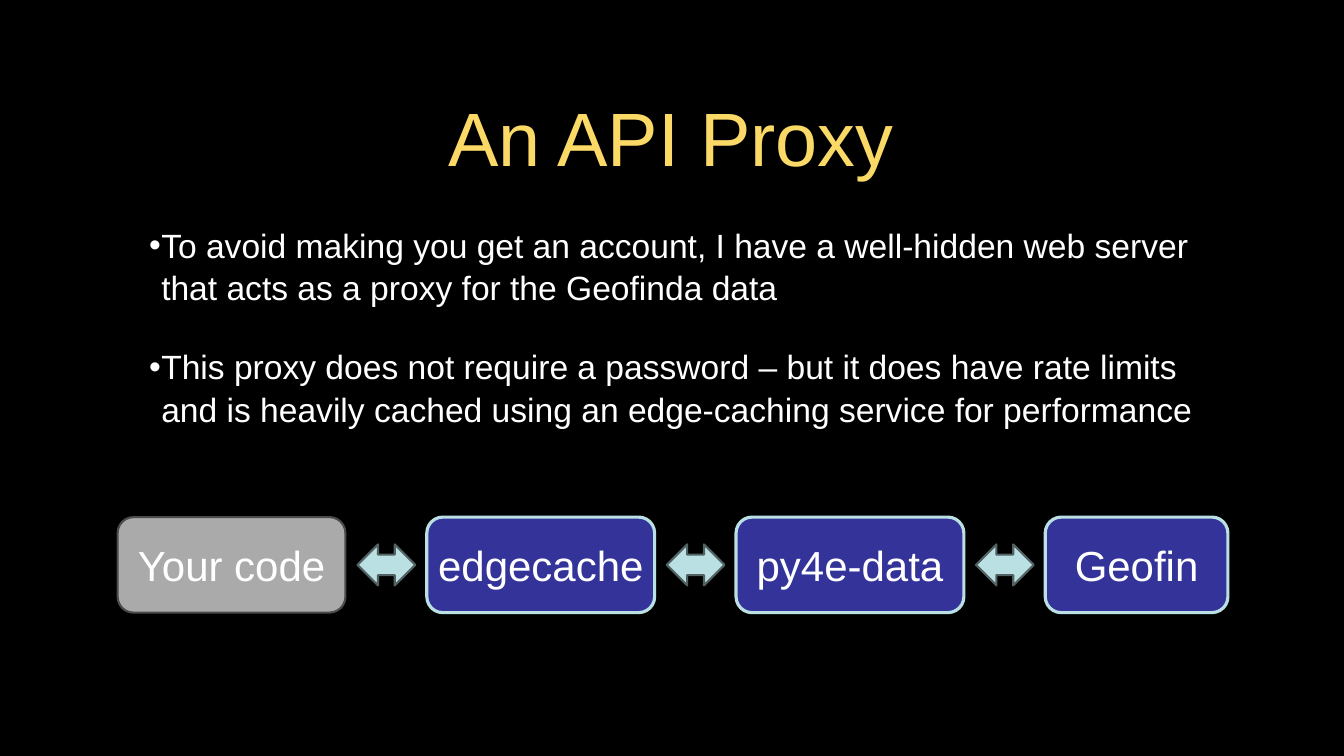
from pptx import Presentation
from pptx.dml.color import RGBColor as Rgb
from pptx.enum.shapes import MSO_SHAPE as Kind
from pptx.enum.text import MSO_ANCHOR as Anchor, PP_ALIGN as Align
from pptx.oxml.ns import qn
from pptx.util import Pt
from lxml.etree import SubElement as Sub

HUES = {
    "back": "000000",
    "gold": "FBD967",
    "white": "FFFFFF",
    "blue": "333399",
    "ice": "BBE0E3",
    "gray": "AAAAAA",
    "dark": "4B4B4B",
    "slate": "526263",
}


class Deck:
    font = "Arial"

    def __init__(self, wide, high):
        self.prs = Presentation()
        self.prs.slide_width = Pt(wide)
        self.prs.slide_height = Pt(high)
        self.slide = self.prs.slides.add_slide(self.prs.slide_layouts[6])
        self.paint(self.slide.background.fill, "back")

    def paint(self, fill, hue):
        fill.solid()
        fill.fore_color.rgb = Rgb.from_string(HUES[hue])

    def label(self, para, text, size, hue="white"):
        run = para.add_run()
        run.text = text
        run.font.name = self.font
        run.font.size = Pt(size)
        run.font.color.rgb = Rgb.from_string(HUES[hue])

    def frame(self, x, y, w, h):
        box = self.slide.shapes.add_textbox(Pt(x), Pt(y), Pt(w), Pt(h))
        text = box.text_frame
        text.word_wrap = True
        text.margin_left = text.margin_right = Pt(7.2)
        text.margin_top = text.margin_bottom = Pt(7.2)
        return text

    def title(self, text, x, y, w, h):
        frame = self.frame(x, y, w, h)
        frame.vertical_anchor = Anchor.MIDDLE
        para = frame.paragraphs[0]
        para.alignment = Align.CENTER
        self.label(para, text, 72, "gold")

    def points(self, items, x, y, w, h):
        frame = self.frame(x, y, w, h)
        for i, item in enumerate(items):
            para = frame.add_paragraph() if i else frame.paragraphs[0]
            para.line_spacing = 1.05
            para.space_before = Pt(35 if i else 0)
            props = para._p.get_or_add_pPr()
            props.set("marL", str(Pt(56)))
            props.set("indent", str(Pt(-11.5)))
            tint = Sub(props, qn("a:buClr"))
            Sub(tint, qn("a:srgbClr"), val=HUES["white"])
            Sub(props, qn("a:buFont"), typeface=self.font)
            Sub(props, qn("a:buChar"), char="•")
            self.label(para, item, 32)

    def shape(self, kind, x, y, w, h, fill, edge, thick):
        shape = self.slide.shapes.add_shape(kind, Pt(x), Pt(y), Pt(w), Pt(h))
        shape.shadow.inherit = False
        self.paint(shape.fill, fill)
        self.paint(shape.line.fill, edge)
        shape.line.width = Pt(thick)
        return shape

    def node(self, text, x, y, w, h, fill, edge, thick):
        box = self.shape(Kind.ROUNDED_RECTANGLE, x, y, w, h, fill, edge, thick)
        frame = box.text_frame
        frame.word_wrap = False
        frame.vertical_anchor = Anchor.MIDDLE
        para = frame.paragraphs[0]
        para.alignment = Align.CENTER
        self.label(para, text, 40)

    def arrow(self, x, y, w, h):
        self.shape(Kind.LEFT_RIGHT_ARROW, x, y, w, h, "ice", "slate", 2)


def main():
    deck = Deck(1280, 720)
    deck.title("An API Proxy", 90.5, 60, 1097, 140)
    deck.points(
        [
            "To avoid making you get an account, I have a well-hidden web "
            "server that acts as a proxy for the Geofinda data",
            "This proxy does not require a password – but it does have rate "
            "limits and is heavily cached using an edge-caching service for "
            "performance",
        ],
        90.5, 205, 1097, 234,
    )

    left, top, step, high = 112, 492.5, 294.5, 91
    blue = ("blue", "ice", 3)
    nodes = [
        ("Your code", 217, ("gray", "dark", 2)),
        ("edgecache", 217, blue),
        ("py4e-data", 217, blue),
        ("Geofin", 174, blue),
    ]
    for i, (name, wide, style) in enumerate(nodes):
        x = left + i * step
        deck.node(name, x, top, wide, high, *style)
        if i < len(nodes) - 1:
            deck.arrow(x + 228.5, top + 26, 55, 39)
    deck.prs.save("out.pptx")


if __name__ == "__main__":
    main()
